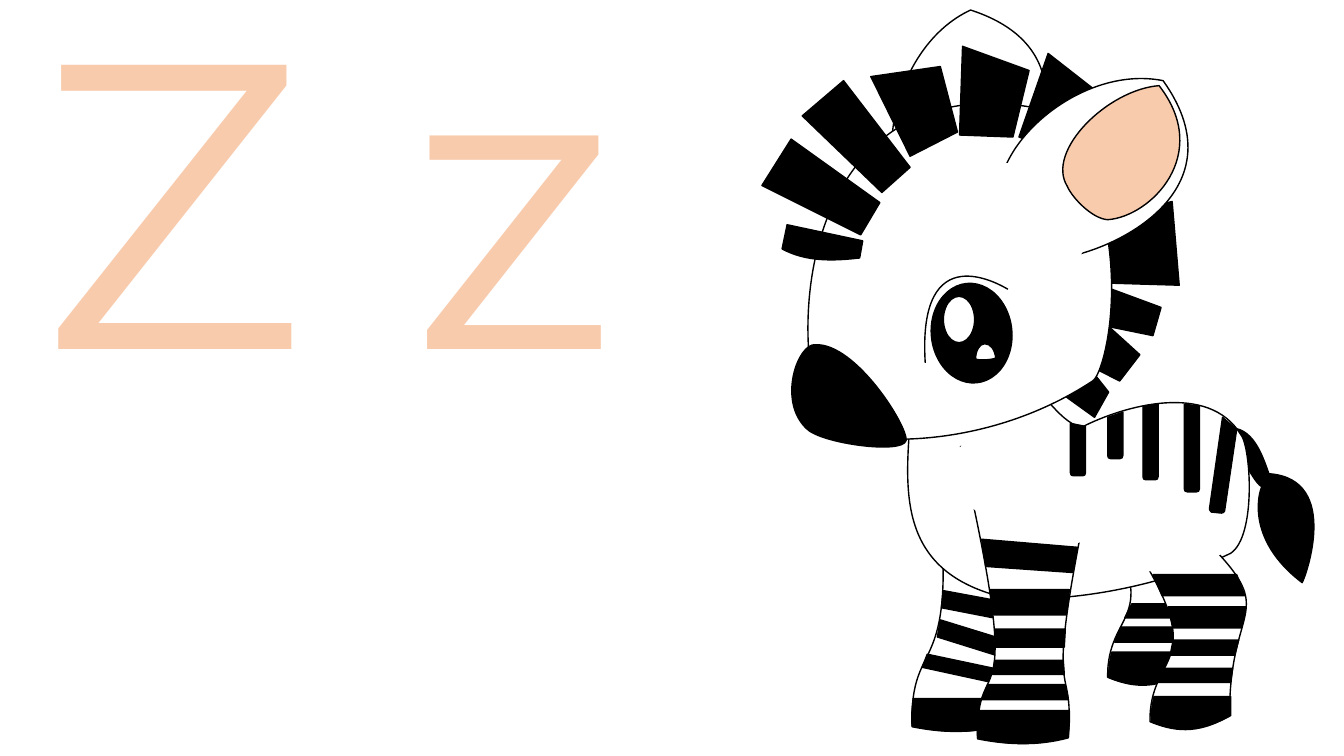
import lxml.etree
import pptx
import pptx.dml.color
import pptx.enum.shapes
import pptx.oxml.ns
import pptx.util

Cm = pptx.util.Cm
qn = pptx.oxml.ns.qn
COLORS = {"black": "000000", "white": "FFFFFF", "peach": "F8CBAD"}
LETTER_FORMAT = {"name": "Montserrat", "size": pptx.util.Pt(290)}
GRID = Cm(0.0254)
CURVE_STEPS = 16

# Outlines in grid units from the corner of the zebra's box:
# a pair is a corner, six numbers are a Bézier curve.
BACK_LEG = [(342, 511), (408, 496), (477, 566, 427, 555, 428, 666),
            (395, 686, 371, 681, 349, 672), (348, 604, 406, 618, 342, 511)]
BACK_HOOF = [(353, 647), (429, 647), (429, 666), (404, 680, 378, 684, 350, 672),
             (350, 663, 351, 656, 353, 647)]
FRONT_HOOF = [(156, 693), (246, 693), (246, 704), (246, 708, 245, 713, 245, 719),
              (211, 729, 180, 726, 155, 720), (154, 711, 155, 704, 156, 693)]


def rgb(color):
    return pptx.dml.color.RGBColor.from_string(COLORS[color])


def shift(outline, right, down):
    return [tuple(value + (down if index % 2 else right)
                  for index, value in enumerate(step)) for step in outline]


def flatten(outline):
    """Return points along the outline, dense enough to measure its extent."""
    points = [outline[0]]
    for step in outline[1:]:
        if len(step) == 2:
            points.append(step)
            continue
        x0, y0 = points[-1]
        x1, y1, x2, y2, x3, y3 = step
        for index in range(1, CURVE_STEPS + 1):
            t = index / CURVE_STEPS
            a, b, c, d = (1 - t) ** 3, 3 * t * (1 - t) ** 2, 3 * t * t * (1 - t), t ** 3
            points.append((a * x0 + b * x1 + c * x2 + d * x3,
                           a * y0 + b * y1 + c * y2 + d * y3))
    return points


def set_curves(shape, outline, points, close):
    """Replace the measuring points of a freeform by its corners and true curves."""
    left, top = (min(values) for values in zip(*points))
    route = next(shape.element.iter(qn("a:path")))
    for child in list(route):
        route.remove(child)
    for index, step in enumerate(outline):
        tag = "a:moveTo" if index == 0 else "a:lnTo" if len(step) == 2 else "a:cubicBezTo"
        segment = lxml.etree.SubElement(route, qn(tag))
        for x, y in zip(step[::2], step[1::2]):
            lxml.etree.SubElement(segment, qn("a:pt"), x=str(round((x - left) * GRID)),
                                  y=str(round((y - top) * GRID)))
    if close:
        lxml.etree.SubElement(route, qn("a:close"))


def paint(shape, fill="black", line="black"):
    shape.shadow.inherit = False
    if fill:
        shape.fill.solid()
        shape.fill.fore_color.rgb = rgb(fill)
    else:
        shape.fill.background()
    if line:
        shape.line.color.rgb = rgb(line)
        shape.line.width = pptx.util.Pt(1)
    else:
        shape.line.fill.background()


def draw(group, box, outline, fill="black", line="black", close=True):
    points = flatten(outline)
    scaled = [(x * GRID, y * GRID) for x, y in points]
    builder = group.shapes.build_freeform(*scaled[0])
    builder.add_line_segments(scaled[1:], close=close)
    shape = builder.convert_to_shape(*box)
    set_curves(shape, outline, points, close)
    paint(shape, fill, line)


def draw_ellipse(group, box, left, top, width, height, fill, rotation=0):
    ellipse = group.shapes.add_shape(
        pptx.enum.shapes.MSO_SHAPE.OVAL, box[0] + left * GRID, box[1] + top * GRID,
        width * GRID, height * GRID)
    ellipse.rotation = rotation
    paint(ellipse, fill)


def draw_far_legs(group, box):
    draw(group, box, BACK_LEG, "white")
    draw(group, box, BACK_HOOF)
    draw(group, box, [(362, 622), (439, 622), (442, 637), (356, 637)])
    draw(group, box, [(373, 599), (449, 599), (452, 613), (366, 613)])
    draw(group, box, [(179, 470), (270, 450), (216, 711, 252, 629, 245, 719),
                      (212, 729, 180, 726, 155, 721), (152, 624, 204, 683, 179, 470)], "white")
    draw(group, box, FRONT_HOOF)
    for stripe in [[(183, 615), (251, 636), (244, 652), (180, 632)],
                   [(186, 586), (256, 599), (251, 616), (184, 603)],
                   [(170, 649), (236, 663), (234, 677), (165, 662)]]:
        draw(group, box, stripe)


def draw_far_ear(group, box):
    draw(group, box, [(213, 10), (346, 53, 271, 186, 223, 223), (161, 209),
                      (111, 174, 135, 46, 213, 10)], "white")


def draw_neck_mane(group, box):
    for tuft in [[(420, 283), (353, 281), (343, 214), (413, 200)],
                 [(394, 333), (345, 323), (348, 285), (402, 305)],
                 [(361, 378), (335, 365), (348, 322), (381, 352)],
                 [(336, 414), (304, 391), (331, 365), (350, 389)]]:
        draw(group, box, tuft)


def draw_body(group, box):
    """Draw the tail and the trunk in front of it."""
    draw(group, box, [(467, 425), (493, 421, 503, 453, 509, 470),
                      (582, 475, 544, 576, 542, 578), (484, 534, 500, 486, 502, 483),
                      (490, 476, 478, 433, 466, 454)])
    draw(group, box, [(154, 406), (257, 372), (282, 379, 298, 418, 323, 424),
                      (366, 402, 449, 379, 481, 431), (491, 442, 497, 532, 471, 549),
                      (389, 588, 290, 599, 243, 592), (138, 565, 148, 484, 154, 406)], "white")


def draw_face(group, box):
    draw(group, box, [(296, 111), (382, 220, 349, 369, 334, 378),
                      (223, 451, 94, 441, 66, 422), (24, 294, 66, 55, 296, 111)], "white")
    draw(group, box, [(168, 360), (160, 233, 243, 283, 250, 287)], None, close=False)
    draw_ellipse(group, box, 174, 281, 80, 99, "black", 354)
    draw_ellipse(group, box, 186, 294, 31, 46, "white")
    draw(group, box, [(218, 356), (218, 348, 222, 341, 227, 341),
                      (233, 341, 237, 347, 238, 355), (236, 357, 220, 358, 218, 356)], "white")
    draw(group, box, [(50, 425), (21, 397, 42, 340, 59, 342),
                      (99, 340, 151, 423, 149, 437), (146, 451, 64, 440, 50, 425)])


def draw_near_front_leg(group, box):
    draw(group, box, [(203, 443), (336, 462), (281, 723, 317, 642, 310, 732),
                      (277, 741, 245, 738, 220, 733), (218, 636, 270, 735, 203, 443)], "white")
    draw(group, box, shift(FRONT_HOOF, 65, 12))


def draw_crown_mane(group, box):
    for tuft in [[(35, 138), (123, 201), (104, 233), (6, 184)],
                 [(87, 80), (153, 166), (125, 191), (46, 115)],
                 [(183, 66), (200, 131), (153, 155), (114, 76)],
                 [(271, 70), (255, 136), (202, 134), (205, 46)],
                 [(345, 96), (311, 154), (261, 136), (290, 53)],
                 [(31, 223), (106, 239), (103, 256), (77, 259, 50, 260, 26, 247)]]:
        draw(group, box, tuft)


def draw_near_back_leg(group, box):
    draw(group, box, shift(BACK_LEG, 42, 44), "white")
    draw(group, box, shift(BACK_HOOF, 42, 44))


def draw_near_ear(group, box):
    draw(group, box, [(404, 80), (485, 193, 346, 256, 286, 258), (244, 210),
                      (224, 152, 319, 63, 404, 80)], "white")
    draw(group, box, [(400, 85), (453, 153, 392, 215, 349, 218),
                      (333, 217, 313, 195, 309, 185), (287, 150, 349, 89, 400, 85)], "peach")


def draw_joins(group, box):
    """Cover the lines where the ear and the near legs meet head and trunk."""
    for patch in [
            [(199, 180), (270, 130, 329, 195, 329, 238), (327, 254, 304, 273, 294, 276),
             (258, 296, 201, 231, 199, 180)],
            [(178, 467), (231, 395, 333, 440, 356, 481), (362, 497, 347, 524, 337, 530),
             (307, 560, 207, 515, 178, 467)],
            [(353, 559), (354, 490, 434, 475, 466, 491), (477, 499, 479, 522, 475, 530),
             (471, 563, 391, 577, 353, 559)]]:
        draw(group, box, patch, "white", None)


def draw_near_leg_stripes(group, box):
    for stripe in [[(224, 535), (319, 543), (314, 568), (228, 562)],
                   [(232, 585), (311, 585), (308, 610), (236, 610)],
                   [(237, 624), (307, 624), (306, 642), (238, 642)],
                   [(237, 655), (305, 655), (306, 669), (235, 669)],
                   [(230, 679), (307, 679), (310, 694), (224, 694)],
                   [(394, 570), (477, 570), (485, 591), (403, 591)],
                   [(409, 602), (486, 602), (482, 623), (414, 623)],
                   [(414, 635), (479, 635), (475, 650), (411, 650)],
                   [(405, 663), (473, 663), (471, 677), (398, 677)]]:
        draw(group, box, stripe)


def draw_trunk_stripes(group, box):
    for left, top_left, top_right, bottom in [(425, 401, 403, 488), (384, 403, 401, 476),
                                              (349, 414, 409, 455), (312, 420, 423, 472)]:
        right = left + 15
        draw(group, box, [
            (left, top_left), (right, top_right), (right, bottom - 3),
            (right, bottom - 1, right - 1, bottom, right - 3, bottom), (left + 3, bottom),
            (left + 1, bottom, left, bottom - 1, left, bottom - 3)])
    draw(group, box, [(463, 414), (477, 426), (465, 507), (465, 508, 463, 509, 462, 509),
                      (452, 508), (451, 507, 450, 506, 450, 505)])


def draw_zebra(slide, box):
    group = slide.shapes.add_group_shape()
    for draw_part in (draw_far_legs, draw_far_ear, draw_neck_mane, draw_body, draw_face,
                      draw_near_front_leg, draw_crown_mane, draw_near_back_leg, draw_near_ear,
                      draw_joins, draw_near_leg_stripes, draw_trunk_stripes):
        draw_part(group, box)


def add_letters(slide, left, top, width, height):
    frame = slide.shapes.add_textbox(left, top, width, height).text_frame
    frame.word_wrap = True
    run = frame.paragraphs[0].add_run()
    run.text = "Z z"
    for name, value in LETTER_FORMAT.items():
        setattr(run.font, name, value)
    run.font.color.rgb = rgb("peach")


def main():
    presentation = pptx.Presentation()
    presentation.slide_width, presentation.slide_height = Cm(33.87), Cm(19.05)
    slide = presentation.slides.add_slide(presentation.slide_layouts[6])
    add_letters(slide, Cm(0.76), Cm(-1.55), Cm(19.89), Cm(12.65))
    draw_zebra(slide, (Cm(19.05), Cm(0)))
    presentation.save("out.pptx")


if __name__ == "__main__":
    main()
